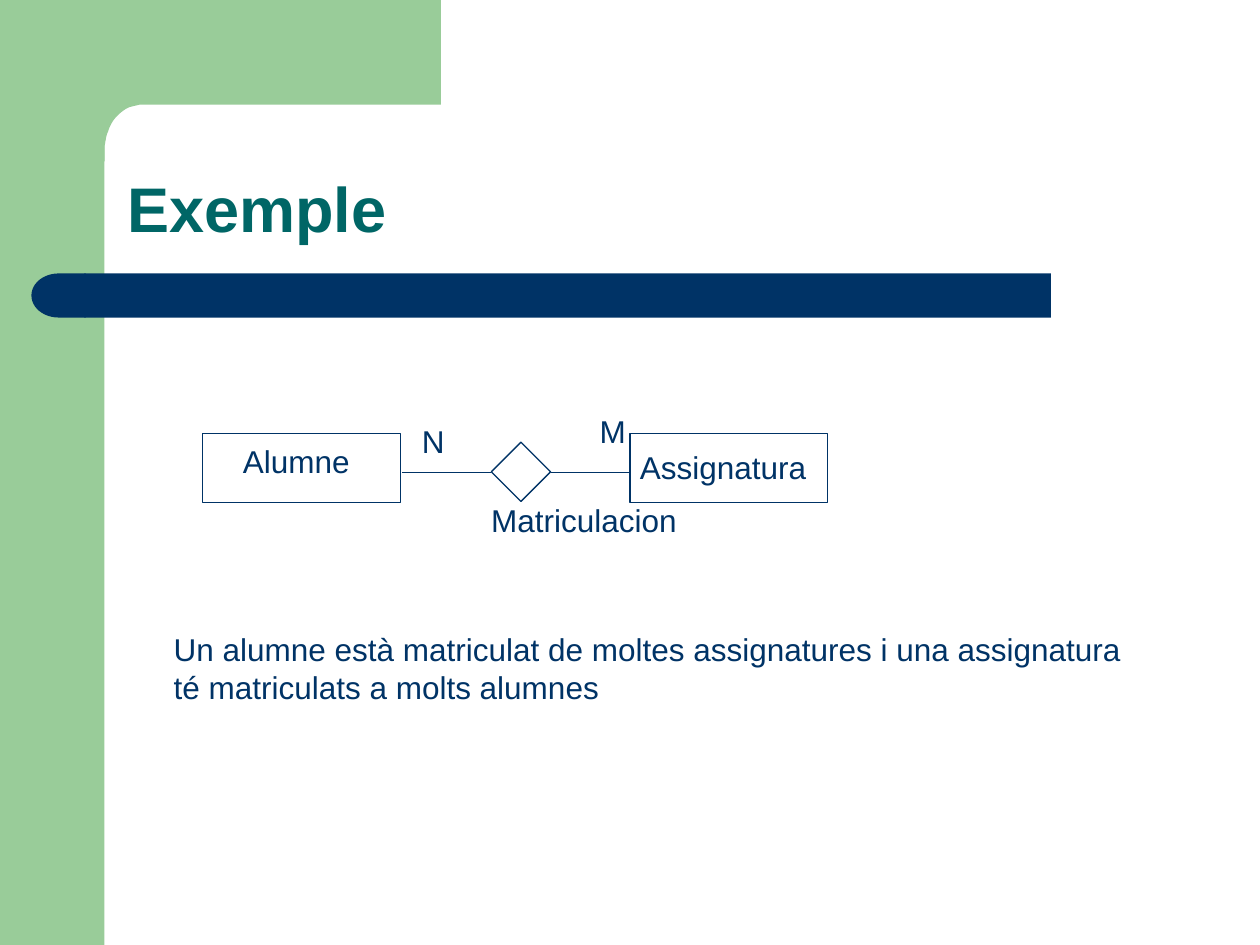
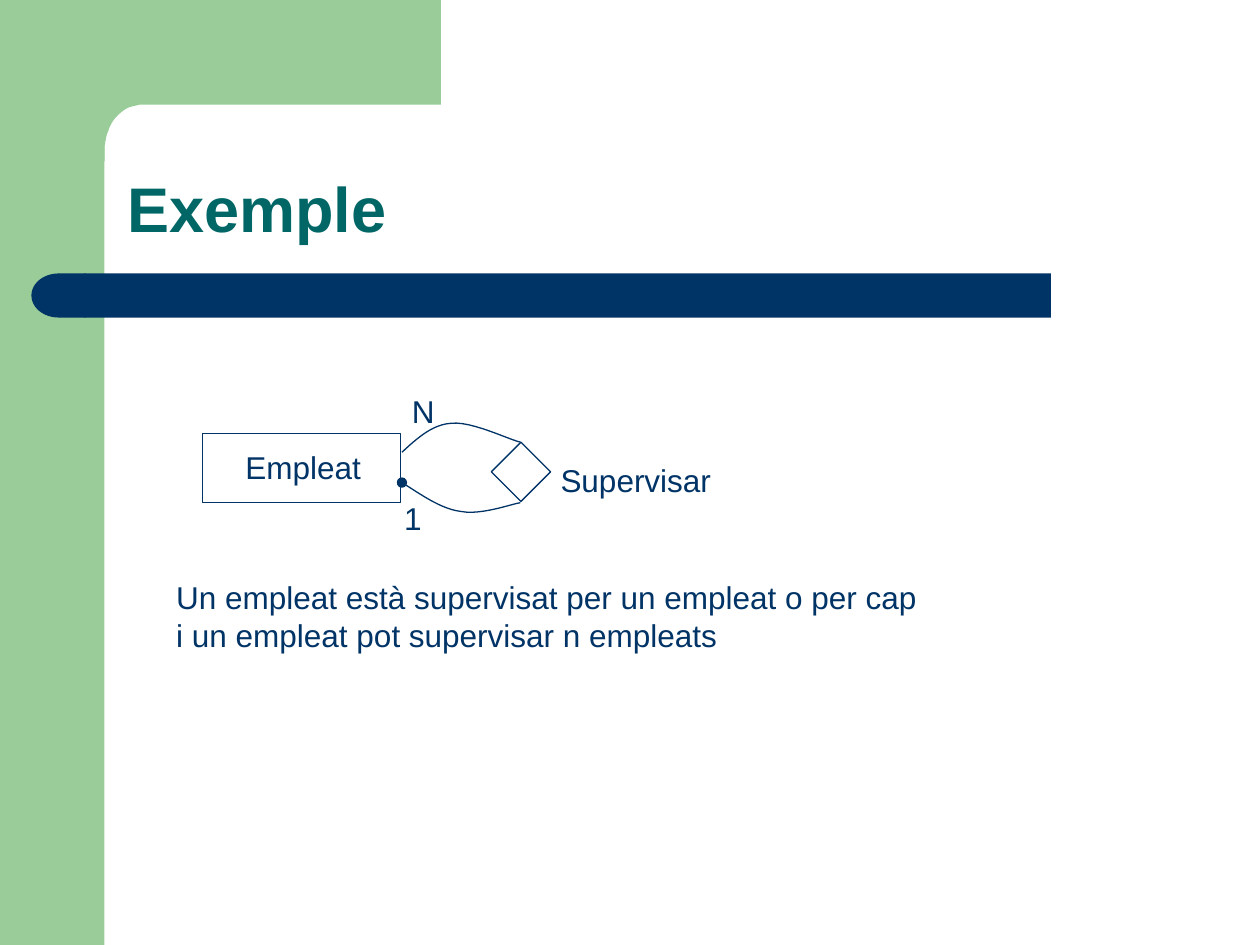
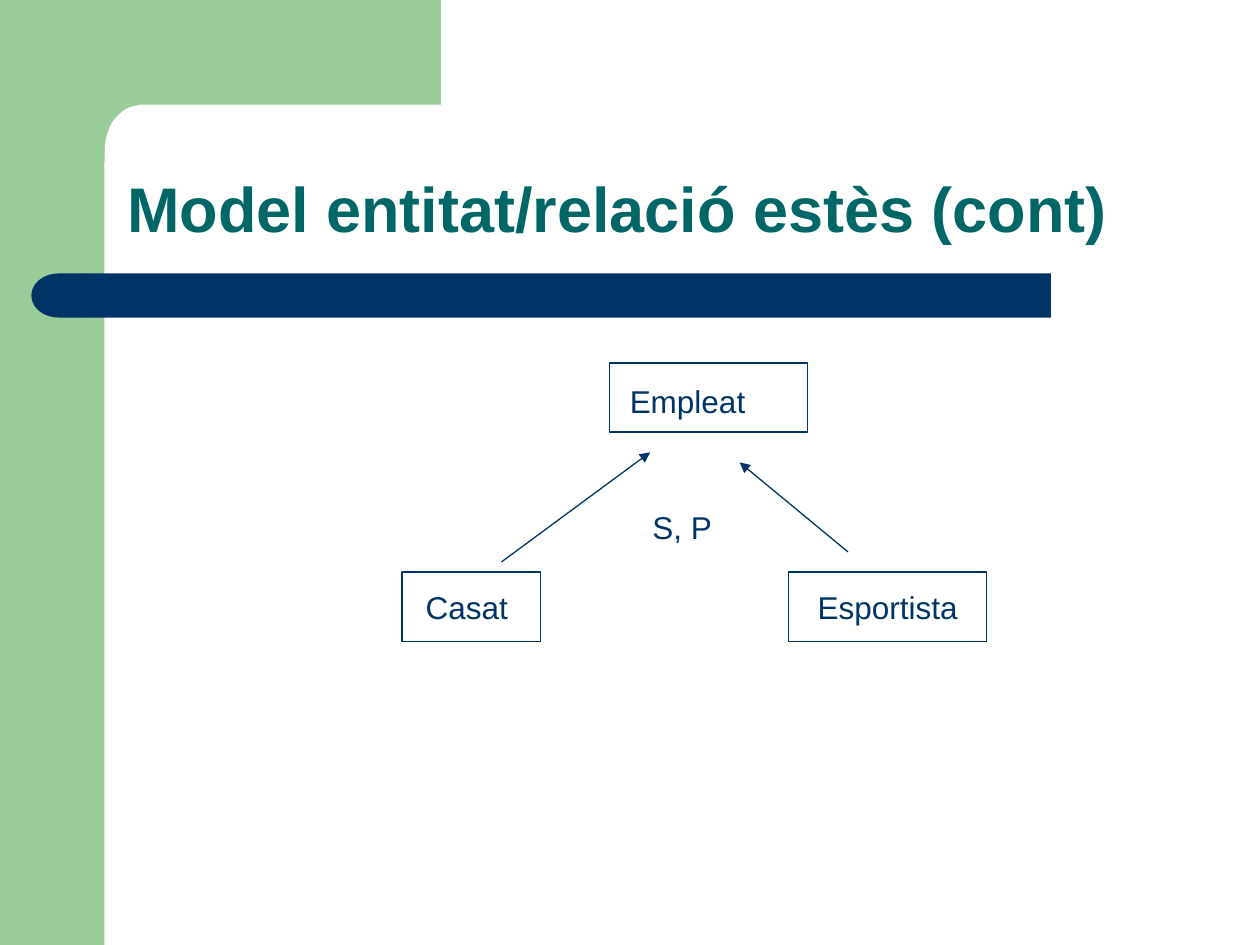
from pptx import Presentation
from pptx.dml.color import RGBColor
from pptx.enum.shapes import MSO_CONNECTOR, MSO_SHAPE as SHAPE
from pptx.enum.text import MSO_ANCHOR as ANCHOR, MSO_AUTO_SIZE as AUTO, PP_ALIGN as ALIGN
from pptx.oxml.ns import qn
from pptx.util import Inches, Pt
from lxml import etree

GREEN = RGBColor(0x99, 0xCC, 0x99)
NAVY = RGBColor(0x00, 0x33, 0x66)
TEAL = RGBColor(0x00, 0x66, 0x66)
FONT = "Arial"
ENTITY_W, ENTITY_H, DIAMOND = 1.57, 0.55, 0.47

CORNER = [
    (3.5, 0), (3.5, 0.83), (1.16, 0.83), (1.11, 0.83), (1.03, 0.85),
    ((1, 0.86), (0.96, 0.89), (0.93, 0.92)),
    ((0.9, 0.95), (0.87, 1), (0.86, 1.04)),
    ((0.84, 1.08), (0.84, 1.12), (0.83, 1.16)),
    (0.83, 1.28), (0.5, 1.28), (0.5, 0), (3.5, 0),
]

SLIDES = [
    {
        "title": "Exemple",
        "entities": [(1.61, 3.44, ENTITY_W, ""), (5, 3.44, ENTITY_W, "")],
        "diamonds": [(3.9, 3.51)],
        "lines": [(3.19, 3.75, 3.9, 3.75, None), (4.37, 3.75, 5, 3.75, None)],
        "labels": [
            (1.28, 4.95, 7.72, ["Un alumne està matriculat de moltes assignatures i una assignatura",
                                "té matriculats a molts alumnes"]),
            (3.25, 3.3, 0.38, ["N"]),
            (4.66, 3.22, 0.41, ["M"]),
            (1.83, 3.46, 1.05, ["Alumne"]),
            (4.98, 3.51, 1.52, ["Assignatura"]),
            (3.8, 3.93, 1.67, ["Matriculacion"]),
        ],
    },
    {
        "title": "Exemple",
        "entities": [(1.61, 3.44, ENTITY_W, "")],
        "diamonds": [(3.9, 3.51)],
        "curves": [
            ([(3.19, 3.83), ((3.35, 3.93), (3.5, 4.04), (3.66, 4.06)),
              ((3.82, 4.09), (4.06, 4), (4.13, 3.99))], "oval"),
            ([(3.19, 3.59), ((3.31, 3.48), (3.43, 3.37), (3.58, 3.36)),
              ((3.74, 3.34), (4.04, 3.49), (4.13, 3.51))], None),
        ],
        "labels": [
            (1.3, 4.54, 6.15, ["Un empleat està supervisat per un empleat o per cap",
                               "i un empleat pot supervisar n empleats"]),
            (1.85, 3.51, 1.14, ["Empleat"]),
            (4.35, 3.61, 1.42, ["Supervisar"]),
            (3.17, 3.06, 0.38, ["N"]),
            (3.11, 3.91, 0.34, ["1"]),
        ],
    },
    {
        "title": "Model entitat/relació estès (cont)",
        "entities": [(6.26, 4.54, ENTITY_W, "Esportista"), (3.19, 4.54, 1.1, ""),
                     (4.84, 2.88, ENTITY_W, "")],
        "lines": [(3.98, 4.46, 5.16, 3.59, "triangle"), (6.73, 4.38, 5.87, 3.67, "triangle")],
        "labels": [
            (4.9, 2.98, 1.14, ["Empleat"]),
            (3.28, 4.62, 0.85, ["Casat"]),
            (5.08, 3.98, 0.67, ["S, P"]),
        ],
    },
]


def style(sp, fill=None, line=None):
    sp.shadow.inherit = False
    if fill is None:
        sp.fill.background()
    else:
        sp.fill.solid()
        sp.fill.fore_color.rgb = fill
    if line is None:
        sp.line.fill.background()
    else:
        sp.line.color.rgb = line
        sp.line.width = Pt(0.74)
    return sp


def add_shape(slide, kind, x, y, w, h, fill=None, line=None):
    sp = slide.shapes.add_shape(kind, Inches(x), Inches(y), Inches(w), Inches(h))
    return style(sp, fill, line)


def flatten(outline, steps=12):
    points = [outline[0]]
    for part in outline[1:]:
        if not isinstance(part[0], tuple):
            points.append(part)
            continue
        ctrl = [points[-1], *part]
        for i in range(1, steps + 1):
            t = i / steps
            weights = ((1 - t) ** 3, 3 * t * (1 - t) ** 2, 3 * t * t * (1 - t), t ** 3)
            points.append(tuple(sum(k * c[axis] for k, c in zip(weights, ctrl)) for axis in (0, 1)))
    return points


def add_outline(slide, outline, close, fill=None, line=None):
    start, *rest = [(Inches(x), Inches(y)) for x, y in flatten(outline)]
    builder = slide.shapes.build_freeform(*start)
    builder.add_line_segments(rest, close=close)
    return style(builder.convert_to_shape(), fill, line)


def add_end(sp, tag, kind):
    if kind:
        etree.SubElement(sp.line._get_or_add_ln(), qn(tag), type=kind)


def write(tf, lines, size, color, bold=False):
    tf.text = "\n".join(lines)
    for p in tf.paragraphs:
        for r in p.runs:
            r.font.name, r.font.size, r.font.bold = FONT, Pt(size), bold
            r.font.color.rgb = color


def add_label(slide, x, y, w, lines):
    h = 0.1 + 0.3 * len(lines)
    tf = slide.shapes.add_textbox(Inches(x), Inches(y), Inches(w), Inches(h)).text_frame
    tf.word_wrap = False
    tf.auto_size = AUTO.SHAPE_TO_FIT_TEXT
    write(tf, lines, 18, NAVY)


def add_entity(slide, x, y, w, name):
    sp = add_shape(slide, SHAPE.RECTANGLE, x, y, w, ENTITY_H, line=NAVY)
    if name:
        tf = sp.text_frame
        tf.word_wrap = False
        tf.vertical_anchor = ANCHOR.MIDDLE
        write(tf, [name], 18, NAVY)
        tf.paragraphs[0].alignment = ALIGN.CENTER


def add_line(slide, x1, y1, x2, y2, tail):
    cx = slide.shapes.add_connector(MSO_CONNECTOR.STRAIGHT, *map(Inches, (x1, y1, x2, y2)))
    cx.line.color.rgb = NAVY
    cx.line.width = Pt(0.74)
    add_end(cx, "a:tailEnd", tail)
    etree.SubElement(cx.element.spPr, qn("a:effectLst"))


def decorate(layout, slide):
    for ph in list(layout.placeholders)[1:]:
        ph.element.getparent().remove(ph.element)
    side = add_shape(slide, SHAPE.RECTANGLE, 0, 0, 0.83, 7.5, GREEN)
    corner = add_outline(slide, CORNER, True, GREEN)
    bar = add_shape(slide, SHAPE.ROUNDED_RECTANGLE, 0.67, 2.17, 7.67, 0.35, NAVY)
    bar.adjustments[0] = 0
    cap = add_shape(slide, SHAPE.FLOWCHART_DELAY, 0.25, 2.17, 0.43, 0.35, NAVY)
    cap.element.spPr.find(qn("a:xfrm")).set("flipH", "1")
    for i, sp in enumerate((side, corner, bar, cap)):
        layout.shapes.element.insert(2 + i, sp.element)


def set_title(slide, text):
    title = slide.shapes.title
    title.left, title.top, title.width, title.height = map(Inches, (0.91, 0.91, 8.51, 1.09))
    tf = title.text_frame
    tf.vertical_anchor = ANCHOR.BOTTOM
    tf.auto_size = AUTO.NONE
    write(tf, [text], 36, TEAL, bold=True)
    p = tf.paragraphs[0]
    p.alignment = ALIGN.LEFT
    p.line_spacing = 0.9


prs = Presentation()
prs.slide_width, prs.slide_height = Inches(10), Inches(7.5)
layout = prs.slide_layouts[5]

for i, content in enumerate(SLIDES):
    slide = prs.slides.add_slide(layout)
    if i == 0:
        decorate(layout, slide)
    set_title(slide, content["title"])
    for entity in content["entities"]:
        add_entity(slide, *entity)
    for x, y in content.get("diamonds", []):
        add_shape(slide, SHAPE.DIAMOND, x, y, DIAMOND, DIAMOND, line=NAVY)
    for line in content.get("lines", []):
        add_line(slide, *line)
    for outline, head in content.get("curves", []):
        add_end(add_outline(slide, outline, False, line=NAVY), "a:headEnd", head)
    for label in content["labels"]:
        add_label(slide, *label)

prs.save("out.pptx")
